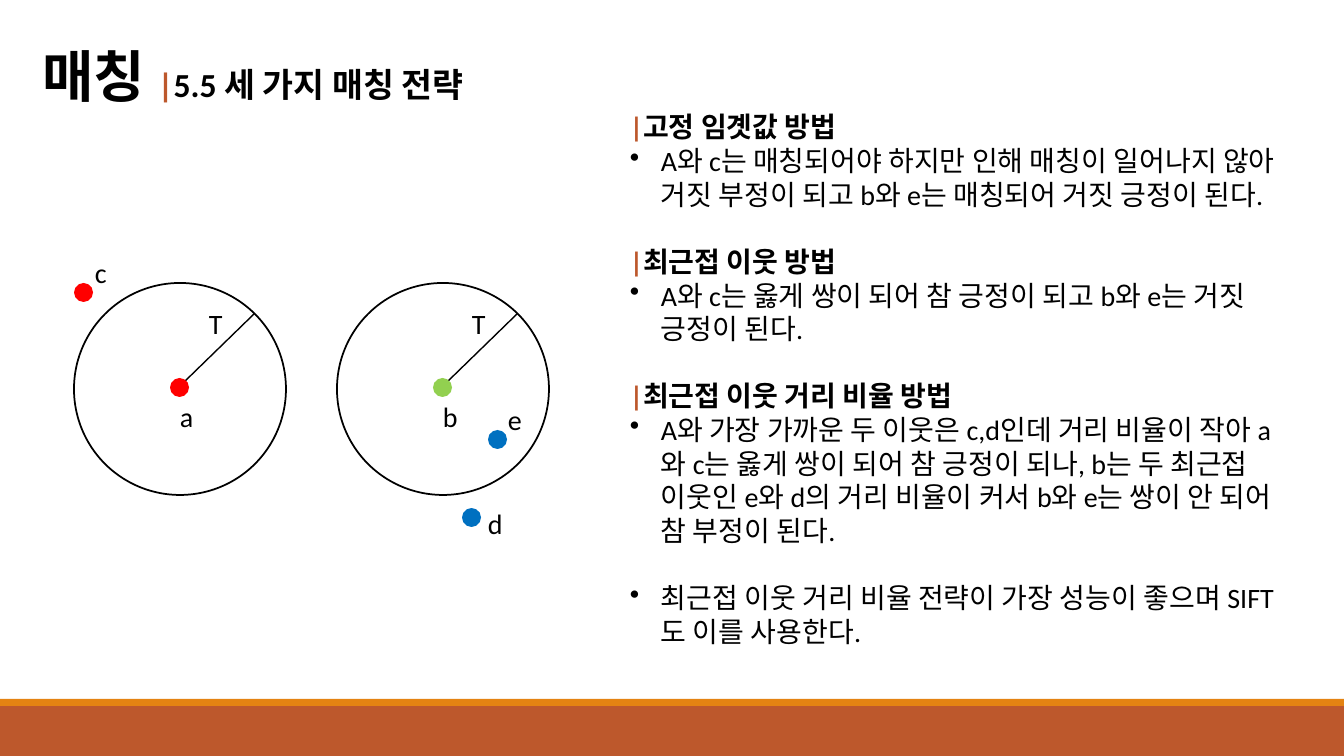
from lxml.etree import SubElement
from pptx import Presentation
from pptx.dml.color import RGBColor
from pptx.enum.shapes import MSO_CONNECTOR as CONN, MSO_SHAPE as SHAPE
from pptx.enum.text import MSO_ANCHOR as ANCHOR, MSO_AUTO_SIZE as AUTO, PP_ALIGN as ALIGN
from pptx.oxml.ns import qn
from pptx.util import Emu, Pt

BLACK = RGBColor(0, 0, 0)
RUST = RGBColor(0xBD, 0x58, 0x2C)
ORANGE = RGBColor(0xE4, 0x83, 0x12)
RED = RGBColor(0xFF, 0, 0)
GREEN = RGBColor(0x92, 0xD0, 0x50)
BLUE = RGBColor(0, 0x70, 0xC0)
LATIN, KOREAN = "Calibri", "Noto Sans CJK KR"

DOT = 19
RADIUS = 106
SECTIONS = [
    ("고정 임곗값 방법",
     ["A와 c는 매칭되어야 하지만 인해 매칭이 일어나지 않아 거짓 부정이 되고 b와 e는 매칭되어 거짓 긍정이 된다."]),
    ("최근접 이웃 방법",
     ["A와 c는 옳게 쌍이 되어 참 긍정이 되고 b와 e는 거짓 긍정이 된다."]),
    ("최근접 이웃 거리 비율 방법",
     ["A와 가장 가까운 두 이웃은 c,d인데 거리 비율이 작아 a와 c는 옳게 쌍이 되어 참 긍정이 되나, "
      "b는 두 최근접 이웃인 e와 d의 거리 비율이 커서 b와 e는 쌍이 안 되어 참 부정이 된다.",
      "최근접 이웃 거리 비율 전략이 가장 성능이 좋으며 SIFT도 이를 사용한다."]),
]


def px(n):
    """Turn pixels into EMU."""
    return Emu(round(n * 914400 / 100.8))


def add_run(p, text, size=20, color=BLACK, bold=False, font=LATIN):
    """Append a formatted run to a paragraph."""
    r = p.add_run()
    r.text = text
    r.font.size, r.font.bold, r.font.name = Pt(size), bold, font
    r.font.color.rgb = color
    SubElement(r.font._element, qn("a:ea")).set("typeface", KOREAN)


def add_text_box(s, x, y, w, h):
    """Add a wrapping text box and return its frame."""
    tf = s.shapes.add_textbox(px(x), px(y), px(w), px(h)).text_frame
    tf.word_wrap = True
    return tf


def add_label(s, text, x, y):
    """Add a one-letter label."""
    add_run(add_text_box(s, x, y, 59, 44).paragraphs[0], text)


def add_filled(s, kind, x, y, w, h, color):
    """Add a borderless filled shape."""
    sp = s.shapes.add_shape(kind, px(x), px(y), px(w), px(h))
    sp.shadow.inherit = False
    sp.fill.solid()
    sp.fill.fore_color.rgb = color
    sp.line.fill.background()


def add_dot(s, x, y, color):
    """Add a feature point."""
    add_filled(s, SHAPE.OVAL, x, y, DOT, DOT, color)


def add_neighborhood(s, x, y, color, name):
    """Draw a threshold circle with its radius, center point and labels."""
    sp = s.shapes.add_shape(SHAPE.OVAL, px(x), px(y), px(2 * RADIUS), px(2 * RADIUS))
    sp.shadow.inherit = False
    sp.fill.background()
    sp.line.color.rgb, sp.line.width = BLACK, Pt(1.25)
    cx, cy = x + RADIUS, y + RADIUS
    line = s.shapes.add_connector(CONN.STRAIGHT, px(cx + 74), px(cy - 75), px(cx), px(cy - 3))
    line.line.color.rgb, line.line.width = BLACK, Pt(1)
    SubElement(line._element.spPr, qn("a:effectLst"))
    add_dot(s, cx - 10, cy - 11, color)
    add_label(s, name, cx - 10, cy + 6)
    add_label(s, "T", cx + 19, cy - 87)


def add_title(s):
    """Place and fill the title placeholder."""
    sp = s.shapes.title
    sp.left, sp.top, sp.width, sp.height = px(32), px(36), px(481), px(78)
    tf = sp.text_frame
    tf.auto_size, tf.word_wrap, tf.vertical_anchor = AUTO.NONE, False, ANCHOR.TOP
    p = tf.paragraphs[0]
    p.alignment, p.line_spacing = ALIGN.LEFT, Pt(48)
    add_run(p, "매칭 ", size=40, bold=True, font=KOREAN)
    add_run(p, "|", size=24, color=RUST, bold=True)
    add_run(p, "5.5 세 가지 매칭 전략", size=24, bold=True)


def add_bullet(p):
    """Give a paragraph a hanging bullet."""
    pPr = p._p.get_or_add_pPr()
    pPr.set("marL", str(px(31)))
    pPr.set("indent", str(px(-31)))
    SubElement(pPr, qn("a:buChar")).set("char", "•")


def add_sections(s):
    """Write the headed explanations of the matching methods."""
    tf = add_text_box(s, 620, 105, 681, 587)
    for i, (heading, points) in enumerate(SECTIONS):
        p = tf.add_paragraph() if i else tf.paragraphs[0]
        p.line_spacing, p.space_before = Pt(24), Pt(24 if i else 0)
        add_run(p, "|", color=RUST, bold=True)
        add_run(p, heading, bold=True)
        for j, point in enumerate(points):
            p = tf.add_paragraph()
            add_bullet(p)
            p.line_spacing, p.space_before = Pt(24), Pt(24 if j else 0)
            add_run(p, point)


def main():
    """Build the slide and save it."""
    prs = Presentation()
    prs.slide_width, prs.slide_height = px(1344), px(756)
    s = prs.slides.add_slide(prs.slide_layouts[5])
    add_filled(s, SHAPE.RECTANGLE, 0, 706, 1344, 50, RUST)
    add_filled(s, SHAPE.RECTANGLE, 0, 699, 1344, 7, ORANGE)
    add_title(s)
    add_sections(s)
    add_neighborhood(s, 74, 283, RED, "a")
    add_neighborhood(s, 337, 283, GREEN, "b")
    for name, color, x, y, label_x, label_y in [
        ("c", RED, 74, 283, 85, 251),
        ("e", BLUE, 488, 430, 498, 398),
        ("d", BLUE, 462, 508, 478, 502),
    ]:
        add_dot(s, x, y, color)
        add_label(s, name, label_x, label_y)
    prs.save("out.pptx")


if __name__ == "__main__":
    main()
